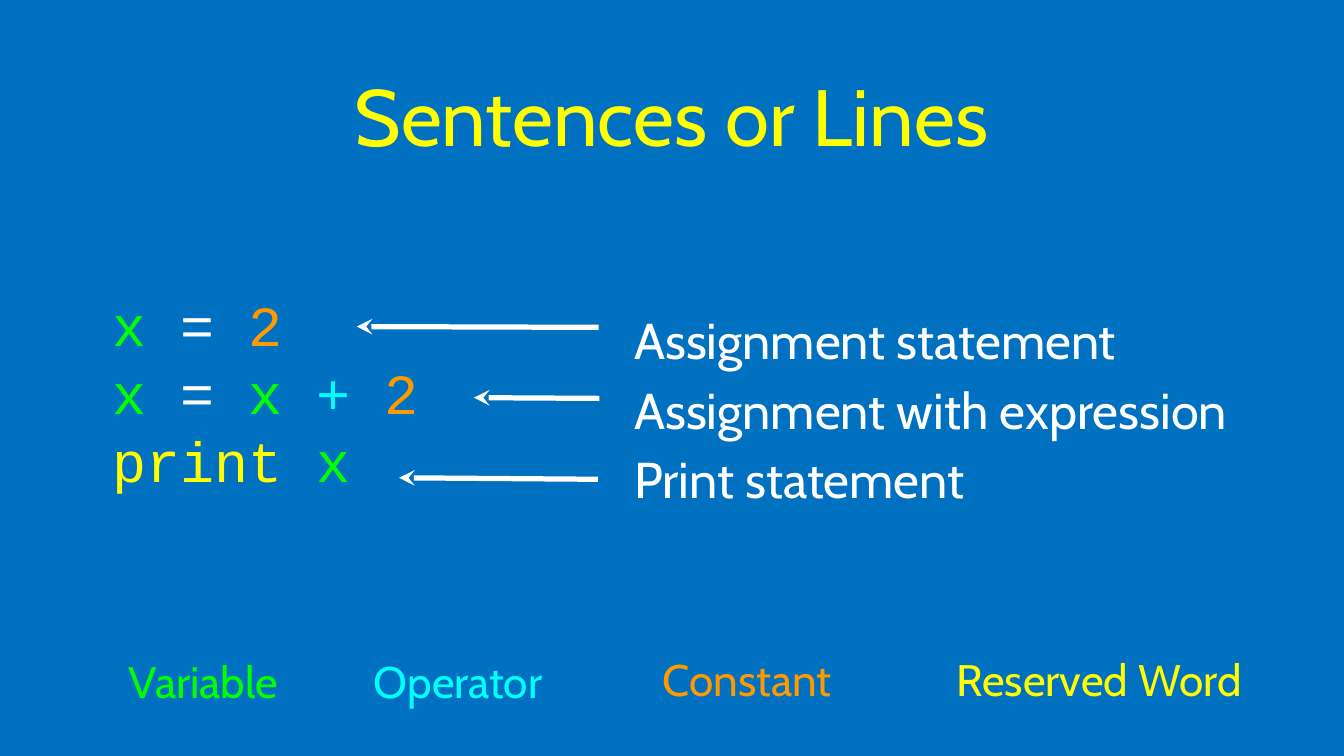
from dataclasses import dataclass

from lxml.etree import SubElement
from pptx import Presentation
from pptx.dml.color import RGBColor
from pptx.enum.shapes import MSO_CONNECTOR
from pptx.enum.text import MSO_ANCHOR, PP_ALIGN
from pptx.oxml.ns import qn
from pptx.util import Inches, Pt


@dataclass(frozen=True)
class Theme:
    background: str = "0070C0"
    plain: str = "FFFFFF"
    variable: str = "00FF00"
    operator: str = "00FFFF"
    constant: str = "FF9900"
    reserved: str = "FFFF00"
    text_font: str = "Cabin"
    code_font: str = "Courier New"
    title_size: int = 76
    code_size: int = 54
    note_size: int = 48
    legend_size: int = 42
    arrow_width: int = 5


class SlideBuilder:
    def __init__(self, page, theme):
        self.page = page
        self.theme = theme

    def background(self):
        fill = self.page.background.fill
        fill.solid()
        fill.fore_color.rgb = RGBColor.from_string(self.theme.background)

    def text(self, place, lines, size, font=None, align=PP_ALIGN.LEFT,
             spacing=None, margin=0):
        """Add a text box; each line is a list of (wording, colour) spans."""
        box = self.page.shapes.add_textbox(*map(Inches, place))
        frame = box.text_frame
        frame.word_wrap = True
        frame.vertical_anchor = MSO_ANCHOR.MIDDLE
        frame.margin_left = frame.margin_right = Inches(margin)
        frame.margin_top = frame.margin_bottom = Inches(margin)
        for index, line in enumerate(lines):
            para = frame.add_paragraph() if index else frame.paragraphs[0]
            para.alignment = align
            para.line_spacing = spacing
            para.font.name = font or self.theme.text_font
            para.font.size = Pt(size)
            for wording, colour in line:
                span = para.add_run()
                span.text = wording
                span.font.color.rgb = RGBColor.from_string(colour)

    def title(self, wording):
        self.text((1.26, 0.26, 15.24, 2.51), [[(wording, self.theme.reserved)]],
                  self.theme.title_size, align=PP_ALIGN.CENTER, margin=0.04)

    def code(self, lines):
        self.text((1.49, 2.97, 4.78, 4.42), lines,
                  self.theme.code_size, self.theme.code_font)

    def notes(self, wordings):
        lines = [[(wording, self.theme.plain)] for wording in wordings]
        self.text((8.39, 3.14, 8.65, 4.42), lines,
                  self.theme.note_size, spacing=1.15)

    def legend(self, wording, colour, left, top, width):
        self.text((left, top, width, 0.79), [[(wording, colour)]],
                  self.theme.legend_size, align=PP_ALIGN.CENTER)

    def arrow(self, tip, tail):
        """Add an arrow from a note (tail) to the code it explains (tip)."""
        arrow = self.page.shapes.add_connector(
            MSO_CONNECTOR.STRAIGHT, *map(Inches, (*tip, *tail)))
        arrow.line.color.rgb = RGBColor.from_string(self.theme.plain)
        arrow.line.width = Pt(self.theme.arrow_width)
        properties = arrow._element.spPr
        SubElement(properties.find(qn("a:ln")), qn("a:headEnd"), type="stealth")
        SubElement(properties, qn("a:effectLst"))


def main():
    theme = Theme()
    deck = Presentation()
    deck.slide_width, deck.slide_height = Inches(17.78), Inches(10)
    builder = SlideBuilder(deck.slides.add_slide(deck.slide_layouts[6]), theme)

    builder.background()
    builder.title("Sentences or Lines")

    variable, equals = ("x ", theme.variable), ("= ", theme.plain)
    two = ("2", theme.constant)
    builder.code([
        [variable, equals, two],
        [variable, equals, variable, ("+ ", theme.operator), two],
        [("print ", theme.reserved), ("x", theme.variable)],
    ])

    for entry in (
        ("Variable", theme.variable, 1.49, 8.61, 2.4),
        ("Operator", theme.operator, 4.86, 8.61, 2.4),
        ("Constant", theme.constant, 8.73, 8.58, 2.31),
        ("Reserved Word", theme.reserved, 12.63, 8.58, 3.82),
    ):
        builder.legend(*entry)

    builder.notes(["Assignment statement", "Assignment with expression",
                   "Print statement"])

    for tip, tail in (
        ((4.72, 4.32), (7.92, 4.33)),
        ((6.27, 5.26), (7.93, 5.27)),
        ((5.28, 6.32), (7.91, 6.34)),
    ):
        builder.arrow(tip, tail)

    deck.save("out.pptx")


if __name__ == "__main__":
    main()
